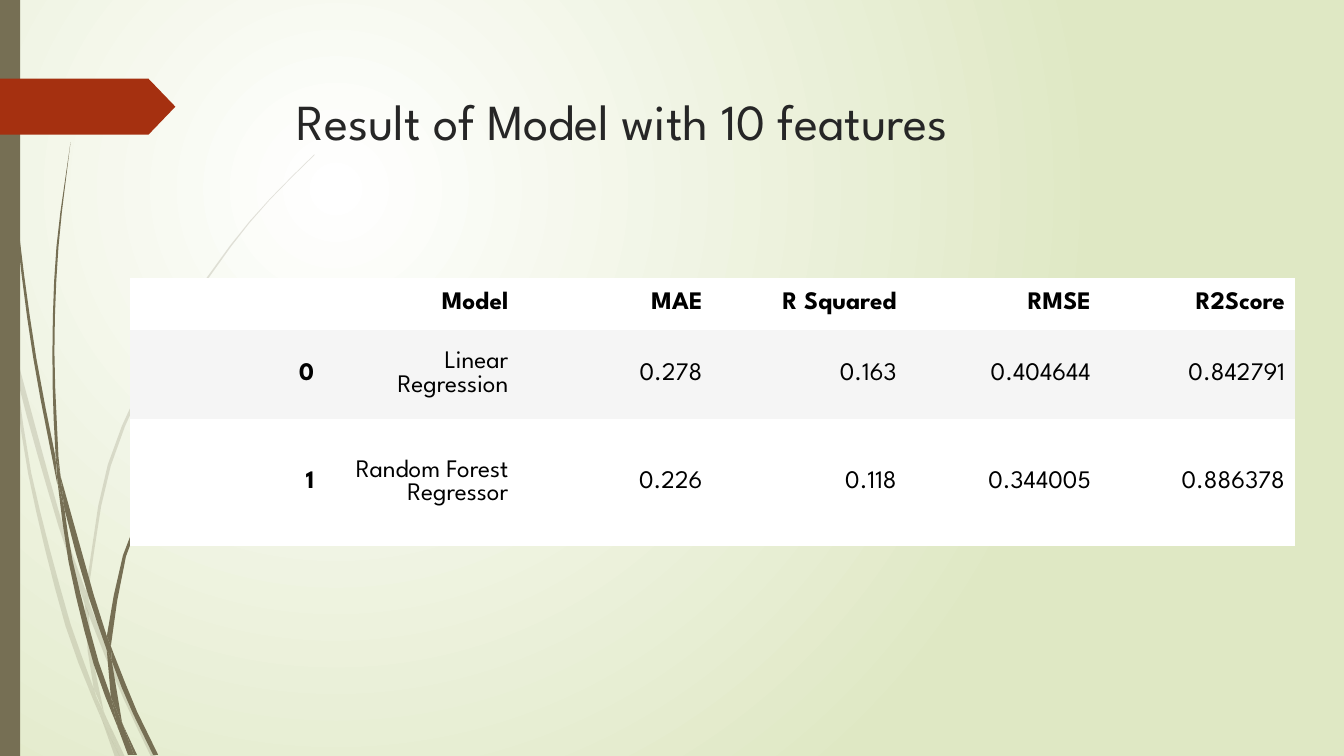
import math
from dataclasses import dataclass

import pptx
import pptx.dml.color
import pptx.enum.dml
import pptx.enum.shapes
import pptx.enum.text
import pptx.oxml
import pptx.oxml.ns
import pptx.shapes.autoshape
import pptx.slide
import pptx.text.text
import pptx.util
from lxml import etree

Pt = pptx.util.Pt
Point = tuple[float, float]


@dataclass(frozen=True)
class Theme:
    font: str = "League Spartan"
    title_size: float = 36
    table_size: float = 18
    title: str = "262626"
    text: str = "000000"
    olive: str = "766F54"
    red: str = "A53010"
    glow: str = "FFFFFF"
    edge: str = "DFE8C4"
    row: str = "FFFFFF"
    band: str = "F5F5F5"


@dataclass(frozen=True)
class Blade:
    """Two smooth edges, one down and one back up, in blade units."""
    down: tuple[Point, ...]
    up: tuple[Point, ...]


@dataclass(frozen=True)
class Tuft:
    opacity: int
    blades: tuple[Blade, ...]


@dataclass(frozen=True)
class Row:
    height: float
    fill: str
    values: tuple[str, ...]


THEME = Theme()
BLADE_UNIT = Pt(0.72)
LONGEST_STEP = 50
NO_STYLE_NO_GRID = "{2D5ABB26-0587-4C30-8999-92F81FD0307C}"

FADED_TUFT = Tuft(20, (
    Blade(((11, 350), (9, 322), (0, 282)), ((0, 299), (10, 344))),
    Blade(((14, 345), (17, 376), (58, 522), (84, 599)), ((85, 586), (62, 520), (14, 345))),
    Blade(((88, 596), (88, 610), (123, 694), (150, 751)), ((155, 751), (127, 692), (92, 607))),
    Blade(((105, 711), (119, 751)), ((124, 751),)),
    Blade(((11, 350), (28, 470), (65, 621), (92, 693), (101, 714)),
          ((99, 707), (93, 683), (70, 619), (31, 469), (17, 376))),
    Blade(((84, 599), (87, 646), (93, 683), (105, 711)), ((103, 706), (91, 646), (88, 608))),
    Blade(((312, 153), (268, 197), (228, 244), (158, 348), (107, 461), (85, 586)),
          ((88, 596), (88, 584), (110, 462), (160, 349), (229, 245), (268, 198), (312, 154))),
    Blade(((101, 714), (114, 751)), ((119, 751),)),
    Blade(((84, 599), (88, 610)), ((88, 596), (85, 586))),
    Blade(((93, 683), (101, 714), (119, 751)), ((105, 711), (96, 692))),
))
SOLID_TUFT = Tuft(100, (
    Blade(((3, 0), (7, 110), (17, 233), (33, 355), (57, 481)),
          ((55, 453), (36, 355), (19, 232), (8, 109), (4, 0))),
    Blade(((60, 472), (64, 505), (88, 592), (106, 645)), ((106, 631), (93, 590))),
    Blade(((110, 641), (111, 656), (132, 708), (152, 749)), ((157, 749), (136, 706), (113, 649))),
    Blade(((57, 477), (68, 557), (93, 659), (117, 722)),
          ((116, 717), (110, 691), (98, 657), (72, 556), (64, 505))),
    Blade(((70, 141), (56, 245), (52, 349), (55, 449), (60, 472)),
          ((58, 453), (54, 349), (58, 245), (70, 141))),
    Blade(((122, 719), (133, 749)), ((136, 749),)),
    Blade(((55, 449), (57, 477), (64, 505)), ((60, 472),)),
    Blade(((260, 344), (231, 373), (204, 405), (156, 474), (122, 551), (106, 631)),
          ((110, 641), (125, 552), (158, 476), (205, 406), (231, 374), (261, 344))),
    Blade(((117, 722), (127, 749)), ((131, 749),)),
    Blade(((106, 645), (110, 691), (122, 719)), ((121, 716), (111, 656))),
    Blade(((106, 631), (106, 645)), ((111, 656), (110, 641))),
    Blade(((110, 691), (117, 722), (130, 749)), ((133, 749), (122, 719))),
))
ROWS = (
    Row(36.7, THEME.row, ("", "Model", "MAE", "R Squared", "RMSE", "R2Score")),
    Row(64.1, THEME.band, ("0", "Linear Regression", "0.278", "0.163", "0.404644", "0.842791")),
    Row(90.7, THEME.row, ("1", "Random Forest Regressor", "0.226", "0.118", "0.344005", "0.886378")),
)


def rgb(colour: str) -> pptx.dml.color.RGBColor:
    return pptx.dml.color.RGBColor.from_string(colour)


def smooth(points: tuple[Point, ...]) -> list[Point]:
    """Sample a spline through the points, with tangents weighted by chord length."""
    chords = [math.dist(start, end) for start, end in zip(points, points[1:])]
    last = len(points) - 1
    tangents = []
    for index in range(len(points) if last else 0):
        before, after = max(index - 1, 0), min(index + 1, last)
        span = sum(chords[before:after])
        tangents.append([(b - a) / span for a, b in zip(points[before], points[after])])
    curve = [points[0]]
    for index, chord in enumerate(chords):
        steps = math.ceil(chord / LONGEST_STEP) if last > 1 else 1
        for step in range(1, steps + 1):
            t = step / steps
            ease = t * t * (3 - 2 * t)
            leave, arrive = chord * t * (1 - t) ** 2, chord * t * t * (t - 1)
            x, y = (a + (b - a) * ease + m * leave + n * arrive for a, b, m, n in zip(
                points[index], points[index + 1], tangents[index], tangents[index + 1]))
            curve.append((x, y))
    return curve


def paint(shape: pptx.shapes.autoshape.Shape, colour: str, opacity: int = 100) -> None:
    shape.shadow.inherit = False
    shape.line.fill.background()
    shape.fill.solid()
    shape.fill.fore_color.rgb = rgb(colour)
    if opacity < 100:
        element = shape.element.spPr.find(".//" + pptx.oxml.ns.qn("a:srgbClr"))
        etree.SubElement(element, pptx.oxml.ns.qn("a:alpha"), val=str(opacity * 1000))


def draw_tuft(slide: pptx.slide.Slide, tuft: Tuft) -> None:
    group = slide.shapes.add_group_shape()
    for blade in tuft.blades:
        outline = [(x * BLADE_UNIT, y * BLADE_UNIT)
                   for x, y in smooth(blade.down) + smooth(blade.up)]
        builder = group.shapes.build_freeform(*outline[0])
        builder.add_line_segments(outline[1:], close=True)
        paint(builder.convert_to_shape(), THEME.olive, tuft.opacity)


def draw_background(slide: pptx.slide.Slide) -> None:
    fill = slide.background.fill
    fill.gradient()
    for stop, colour in zip(fill.gradient_stops, (THEME.glow, THEME.edge)):
        stop.color.rgb = rgb(colour)
    linear = slide.element.find(".//" + pptx.oxml.ns.qn("a:lin"))
    radial = pptx.oxml.parse_xml(
        f'<a:path {pptx.oxml.ns.nsdecls("a")} path="circle">'
        '<a:fillToRect l="50000" t="50000" r="100000" b="100000"/></a:path>')
    linear.getparent().replace(linear, radial)


def add_run(paragraph: pptx.text.text._Paragraph, text: str, size: float,
            colour: str, bold: bool = False) -> None:
    run = paragraph.add_run()
    run.text = text
    run.font.name = THEME.font
    run.font.size = Pt(size)
    run.font.bold = bold
    run.font.color.rgb = rgb(colour)


def draw_title(slide: pptx.slide.Slide) -> None:
    title = slide.shapes.title
    title.left, title.top, title.width, title.height = Pt(204.5), Pt(49), Pt(702), Pt(100.8)
    frame = title.text_frame
    frame.word_wrap = True
    frame.auto_size = pptx.enum.text.MSO_AUTO_SIZE.NONE
    frame.vertical_anchor = pptx.enum.text.MSO_ANCHOR.TOP
    frame.margin_top = Pt(15)
    paragraph = frame.paragraphs[0]
    paragraph.alignment = pptx.enum.text.PP_ALIGN.LEFT
    add_run(paragraph, "Result of Model with 10 features", THEME.title_size, THEME.title)


def draw_results(slide: pptx.slide.Slide) -> None:
    frame = slide.shapes.add_table(len(ROWS), len(ROWS[0].values), Pt(92.9), Pt(198.7),
                                   Pt(832.2), Pt(sum(row.height for row in ROWS)))
    table = frame.table
    table.horz_banding = False
    frame.element.find(".//" + pptx.oxml.ns.qn("a:tableStyleId")).text = NO_STYLE_NO_GRID
    for row_index, row in enumerate(ROWS):
        table.rows[row_index].height = Pt(row.height)
        for column_index, value in enumerate(row.values):
            cell = table.cell(row_index, column_index)
            cell.fill.solid()
            cell.fill.fore_color.rgb = rgb(row.fill)
            cell.vertical_anchor = pptx.enum.text.MSO_ANCHOR.MIDDLE
            paragraph = cell.text_frame.paragraphs[0]
            paragraph.alignment = pptx.enum.text.PP_ALIGN.RIGHT
            if value:
                add_run(paragraph, value, THEME.table_size, THEME.text,
                        bold=row_index == 0 or column_index == 0)


def main() -> None:
    presentation = pptx.Presentation()
    presentation.slide_width, presentation.slide_height = Pt(960), Pt(540)
    slide = presentation.slides.add_slide(presentation.slide_layouts[5])
    draw_background(slide)
    draw_tuft(slide, FADED_TUFT)
    draw_tuft(slide, SOLID_TUFT)
    preset = pptx.enum.shapes.MSO_SHAPE
    side_bar = slide.shapes.add_shape(preset.RECTANGLE, 0, 0, Pt(14.4), Pt(540))
    paint(side_bar, THEME.olive)
    arrow = slide.shapes.add_shape(preset.PENTAGON, 0, Pt(56.2), Pt(125.3), Pt(40))
    arrow.adjustments[0] = 0.48
    paint(arrow, THEME.red)
    draw_title(slide)
    draw_results(slide)
    presentation.save("out.pptx")


if __name__ == "__main__":
    main()
